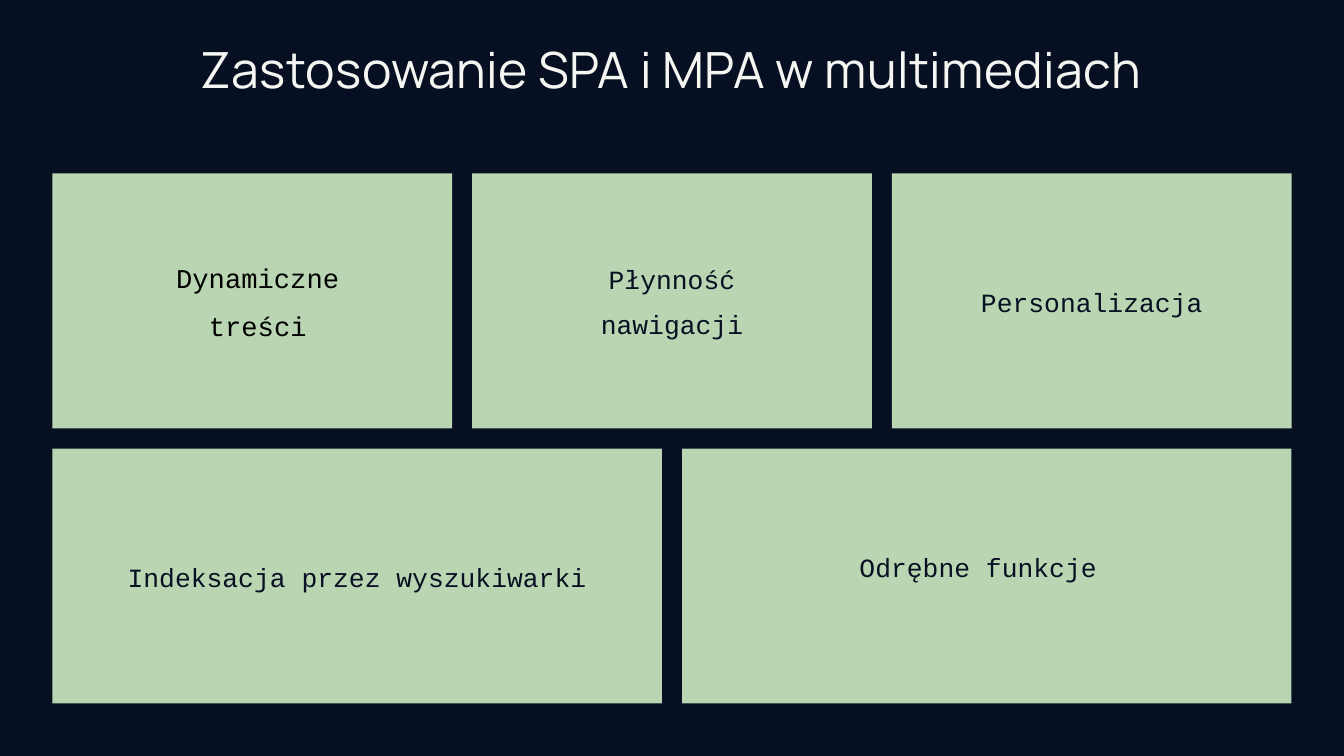
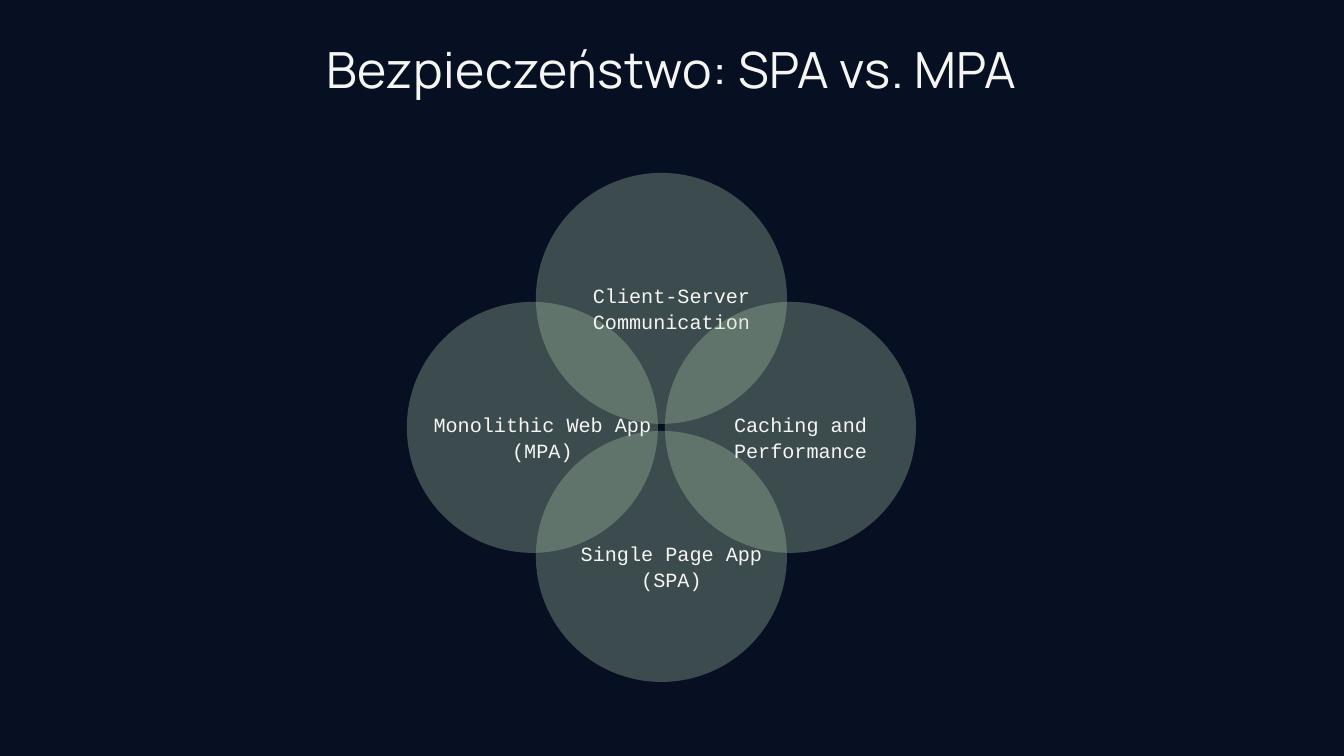
from lxml.etree import SubElement
from pptx import Presentation
from pptx.dml.color import RGBColor
from pptx.enum.shapes import MSO_SHAPE as Shape
from pptx.enum.text import MSO_ANCHOR as Anchor, PP_ALIGN as Align
from pptx.oxml.ns import qn
from pptx.util import Inches, Pt

COLORS = {"navy": "071023", "green": "B9D5B1", "white": "F5F6F2", "black": "000000"}
STYLES = {
    "title": {"font": "Manrope", "size": 35.6, "color": "white", "line": 37.9, "tracking": 30},
    "card": {"font": "Courier New", "size": 18.8, "color": "navy", "line": 23.6, "before": 8.8},
    "accent": {"font": "Courier New", "size": 19.4, "color": "black", "line": 24.5, "before": 9.2},
    "circle": {"font": "Courier New", "size": 14.4, "color": "white", "line": 18.1},
}

USES_TITLE = "Zastosowanie SPA i MPA w multimediach"
CARD_ROWS = [
    [
        {"lines": ["Dynamiczne", "treści"], "style": "accent", "insets": (0.11, 0, 0, 0)},
        {"lines": ["Płynność", "nawigacji"]},
        {"lines": ["Personalizacja"]},
    ],
    [
        {"lines": ["Indeksacja przez wyszukiwarki"]},
        {"lines": ["Odrębne funkcje"], "insets": (0, 0, 0.17, 0.2)},
    ],
]
GRID_LEFT, GRID_TOP, GRID_WIDTH = 0.52, 1.72, 12.29
CARD_HEIGHT, CARD_GAP = 2.53, 0.2

SECURITY_TITLE = "Bezpieczeństwo: SPA vs. MPA"
CIRCLES = [
    (0, 1, ["Single Page App", "(SPA)"]),
    (-1, 0, ["Monolithic Web App", "(MPA)"]),
    (0, -1, ["Client-Server", "Communication"]),
    (1, 0, ["Caching and", "Performance"]),
]
CENTER_X, CENTER_Y = 6.56, 4.24
DIAMETER, CIRCLE_OFFSET = 2.49, 1.28
CIRCLE_INSETS = (0.2, 0.19, 0, 0)


def rgb(name):
    return RGBColor.from_string(COLORS[name])


def write_lines(shape, lines, style, insets=(0, 0, 0, 0), anchor=Anchor.MIDDLE, wrap=True):
    frame = shape.text_frame
    frame.word_wrap = wrap
    frame.vertical_anchor = anchor
    frame.margin_left, frame.margin_top, frame.margin_right, frame.margin_bottom = map(Inches, insets)
    for index, line in enumerate(lines):
        paragraph = frame.add_paragraph() if index else frame.paragraphs[0]
        paragraph.alignment = Align.CENTER
        paragraph.line_spacing = Pt(style["line"])
        if index:
            paragraph.space_before = Pt(style.get("before", 0))
        run = paragraph.add_run()
        run.text = line
        run.font.name = style["font"]
        run.font.size = Pt(style["size"])
        run.font.color.rgb = rgb(style["color"])
        if "tracking" in style:
            run._r.get_or_add_rPr().set("spc", str(style["tracking"]))


def add_titled_slide(presentation, title):
    slide = presentation.slides.add_slide(presentation.slide_layouts[6])
    box = slide.shapes.add_textbox(0, Inches(0.45), presentation.slide_width, Inches(0.53))
    write_lines(box, [title], STYLES["title"], anchor=Anchor.TOP)
    return slide


def add_green_shape(slide, kind, left, top, width, height, opacity=None):
    shape = slide.shapes.add_shape(kind, Inches(left), Inches(top), Inches(width), Inches(height))
    shape.shadow.inherit = False
    shape.fill.solid()
    shape.fill.fore_color.rgb = rgb("green")
    shape.line.fill.background()
    if opacity is not None:
        color = shape._element.spPr.find(qn("a:solidFill")).find(qn("a:srgbClr"))
        SubElement(color, qn("a:alpha")).set("val", str(opacity * 1000))
    return shape


def build_uses(presentation):
    slide = add_titled_slide(presentation, USES_TITLE)
    for row, cards in enumerate(CARD_ROWS):
        width = (GRID_WIDTH - CARD_GAP * (len(cards) - 1)) / len(cards)
        top = GRID_TOP + row * (CARD_HEIGHT + CARD_GAP)
        for column, card in enumerate(cards):
            left = GRID_LEFT + column * (width + CARD_GAP)
            shape = add_green_shape(slide, Shape.RECTANGLE, left, top, width, CARD_HEIGHT)
            style = STYLES[card.get("style", "card")]
            write_lines(shape, card["lines"], style, card.get("insets", (0, 0, 0, 0)))


def build_security(presentation):
    slide = add_titled_slide(presentation, SECURITY_TITLE)
    for across, down, lines in CIRCLES:
        left = CENTER_X + across * CIRCLE_OFFSET - DIAMETER / 2
        top = CENTER_Y + down * CIRCLE_OFFSET - DIAMETER / 2
        circle = add_green_shape(slide, Shape.OVAL, left, top, DIAMETER, DIAMETER, opacity=30)
        write_lines(circle, lines, STYLES["circle"], CIRCLE_INSETS, wrap=False)


def main():
    presentation = Presentation()
    presentation.slide_width = Inches(13.33)
    presentation.slide_height = Inches(7.5)
    background = presentation.slide_master.background.fill
    background.solid()
    background.fore_color.rgb = rgb("navy")
    build_uses(presentation)
    build_security(presentation)
    presentation.save("out.pptx")


if __name__ == "__main__":
    main()
